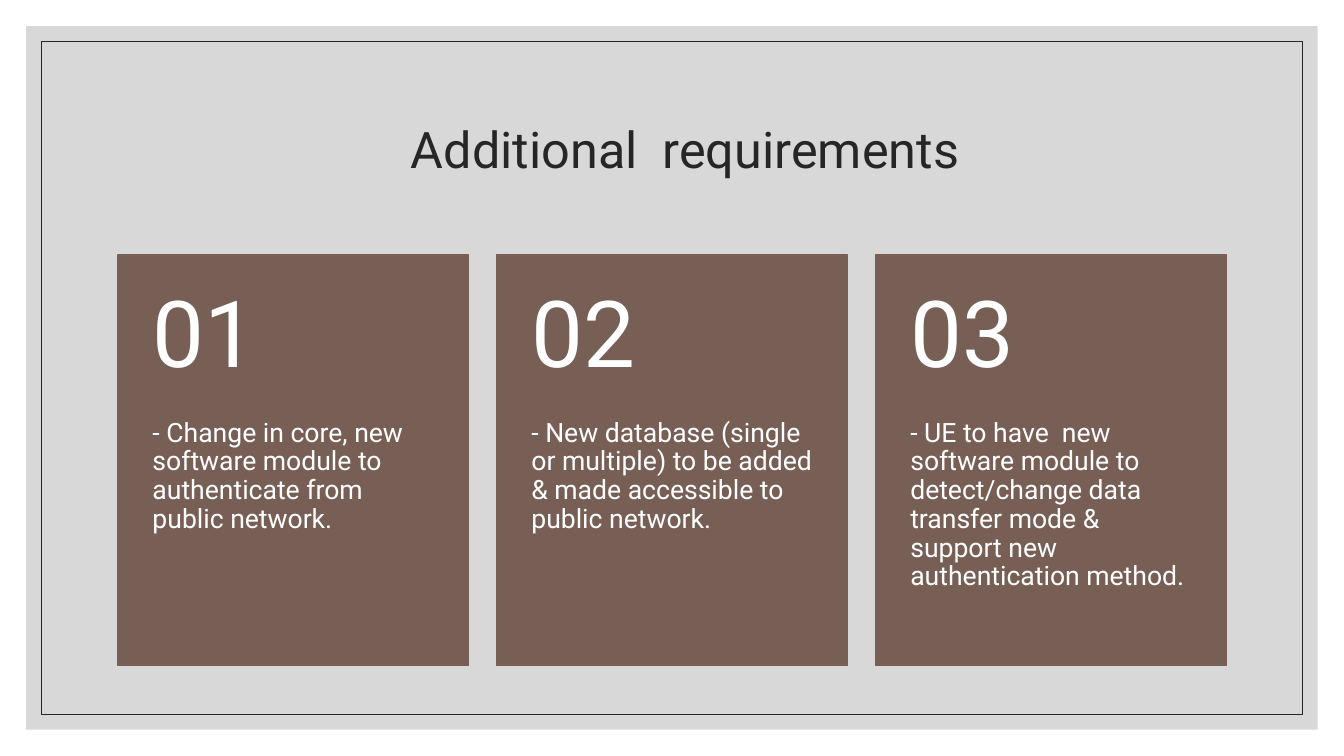
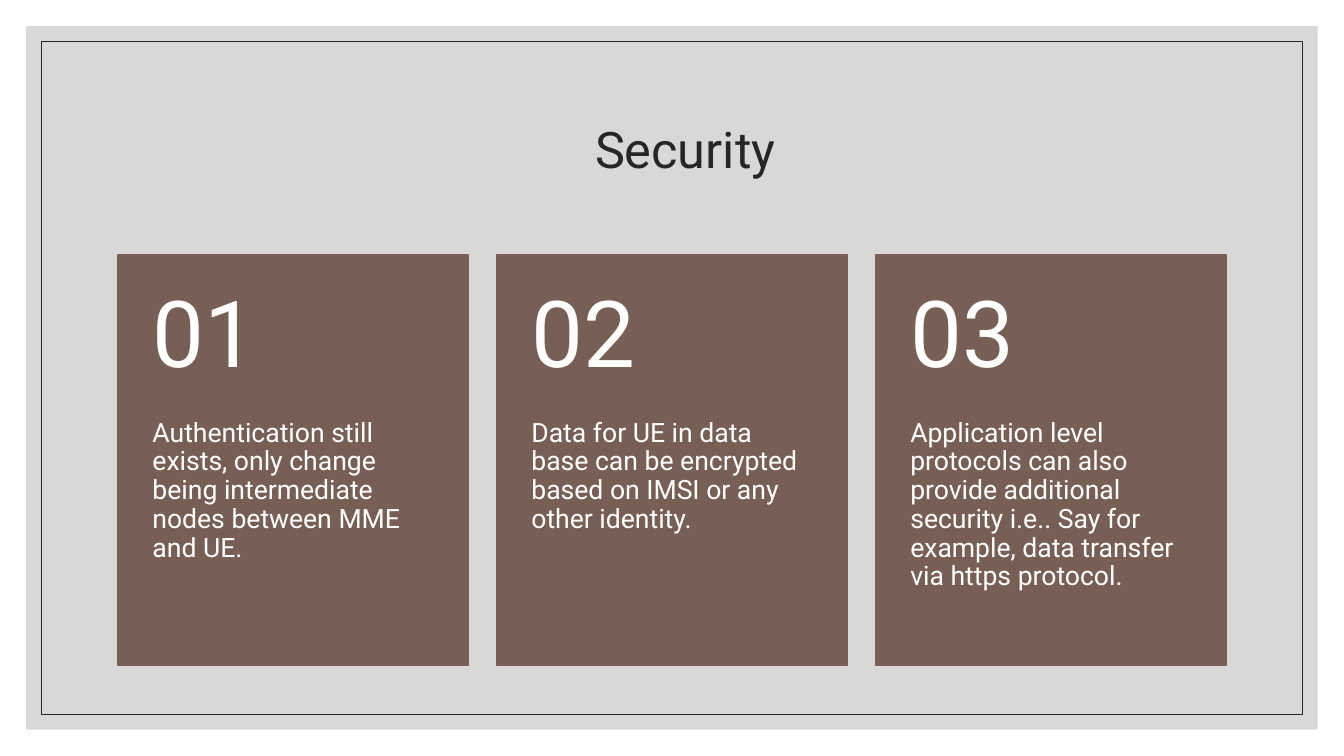
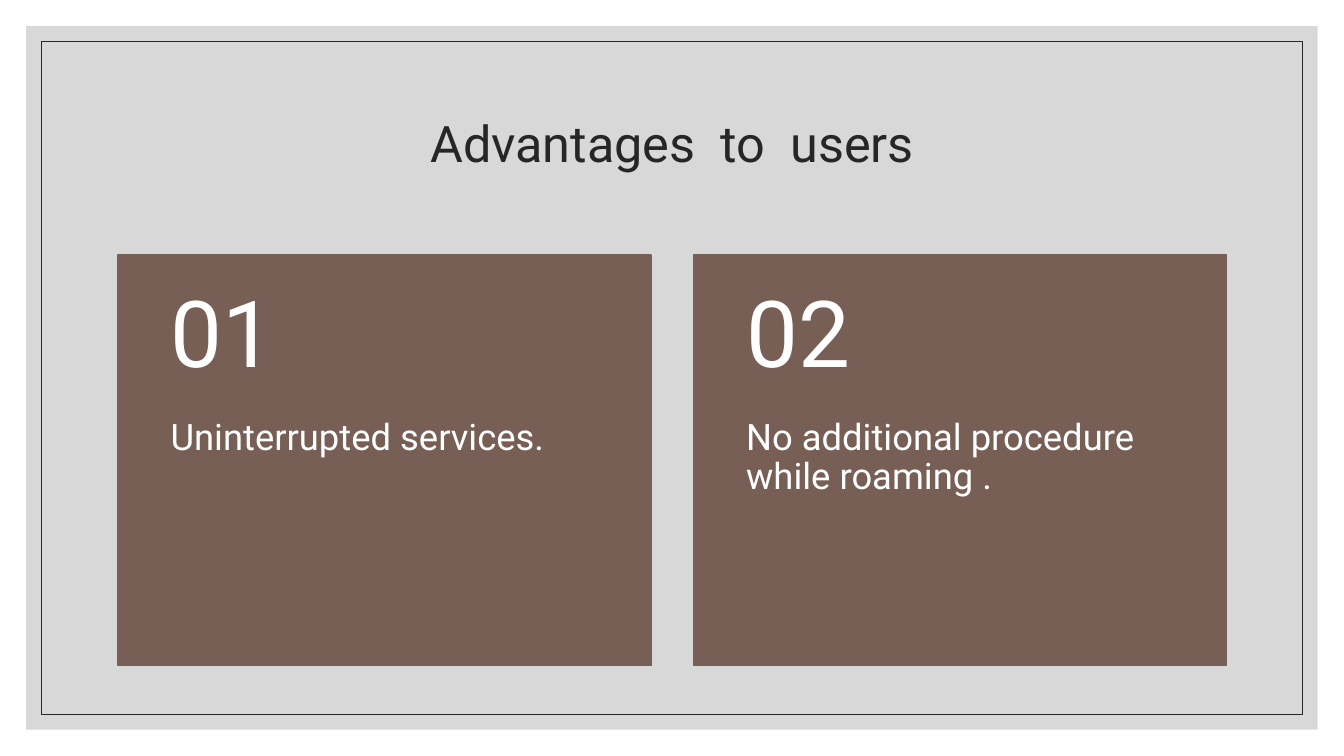
"""Build three slides of numbered cards on a framed grey panel."""
import pptx
import pptx.dml.color
import pptx.enum.shapes
import pptx.enum.text
import pptx.oxml
import pptx.oxml.ns
import pptx.util

Cm = pptx.util.Cm
Pt = pptx.util.Pt
RGBColor = pptx.dml.color.RGBColor
MSO_ANCHOR = pptx.enum.text.MSO_ANCHOR
PP_ALIGN = pptx.enum.text.PP_ALIGN

GREY = RGBColor(0xBF, 0xBF, 0xBF)
DARK = RGBColor(0x26, 0x26, 0x26)
BROWN = RGBColor(0x77, 0x5F, 0x55)
WHITE = RGBColor(0xFF, 0xFF, 0xFF)

WIDTH, HEIGHT = 33.87, 19.05
LEFT, TOP = 2.97, 6.43
CARDS_WIDTH, CARD_HEIGHT = 27.94, 10.34
NUMBER_HEIGHT = 0.4 * CARD_HEIGHT

SLIDES = [
    ("Additional  requirements", (3.3, 1.93), 19, [
        "- Change in core, new software module to authenticate from public network.",
        "- New database (single or multiple) to be added & made accessible to public network.",
        "- UE to have  new software module to detect/change data transfer mode & support new authentication method.",
    ]),
    ("Security", (3.3, 1.93), 19, [
        "Authentication still exists, only change being intermediate nodes between MME and UE.",
        "Data for UE in data base can be encrypted based on IMSI or any other identity.",
        "Application level protocols can also provide additional security i.e.. Say for example, data transfer via https protocol.",
    ]),
    ("Advantages  to  users", (2.97, 1.78), 26, [
        "Uninterrupted services.",
        "No additional procedure while roaming .",
    ]),
]


class Deck:
    font = "Roboto"

    def __init__(self):
        self.prs = pptx.Presentation()
        self.prs.slide_width = Cm(WIDTH)
        self.prs.slide_height = Cm(HEIGHT)
        self.s = None

    def new_slide(self):
        self.s = self.prs.slides.add_slide(self.prs.slide_layouts[6])
        panel = self.inset_rect(0.66, fill=GREY)
        color = panel.fill._xPr.find(".//" + pptx.oxml.ns.qn("a:srgbClr"))
        color.append(pptx.oxml.parse_xml(
            f'<a:alpha {pptx.oxml.ns.nsdecls("a")} val="60000"/>'))
        self.inset_rect(1.04, line=DARK, weight=0.5)

    def inset_rect(self, inset, **style):
        return self.rect(self.s.shapes, inset, inset,
                         WIDTH - 2 * inset, HEIGHT - 2 * inset, **style)

    def rect(self, shapes, x, y, w, h, fill=None, line=None, weight=1):
        sp = shapes.add_shape(pptx.enum.shapes.MSO_SHAPE.RECTANGLE,
                              Cm(x), Cm(y), Cm(w), Cm(h))
        sp.shadow.inherit = False
        if fill is None:
            sp.fill.background()
        else:
            sp.fill.solid()
            sp.fill.fore_color.rgb = fill
        if line is None:
            sp.line.fill.background()
        else:
            sp.line.color.rgb = line
            sp.line.width = Pt(weight)
        return sp

    def text(self, shapes, x, y, w, h, text, size, color=WHITE, anchor=MSO_ANCHOR.MIDDLE,
             align=PP_ALIGN.LEFT, insets=(0.25, 0.13, 0.13)):
        tf = shapes.add_textbox(Cm(x), Cm(y), Cm(w), Cm(h)).text_frame
        tf.word_wrap = True
        tf.vertical_anchor = anchor
        side, top, bottom = insets
        tf.margin_left = tf.margin_right = Cm(side)
        tf.margin_top, tf.margin_bottom = Cm(top), Cm(bottom)
        p = tf.paragraphs[0]
        p.text = text
        p.alignment = align
        p.line_spacing = 0.9
        p.font.name = self.font
        p.font.size = Pt(size)
        p.font.color.rgb = color

    def title(self, x, y, text):
        self.text(self.s.shapes, x, y, 27.94, 3.81, text, 36, DARK, align=PP_ALIGN.CENTER)

    def card(self, x, w, number, text, size):
        shapes = self.s.shapes.add_group_shape().shapes
        side = 0.0988 * w
        self.rect(shapes, x, TOP, w, CARD_HEIGHT, fill=BROWN, line=BROWN)
        self.text(shapes, x, TOP + NUMBER_HEIGHT, w, CARD_HEIGHT - NUMBER_HEIGHT, text, size,
                  anchor=MSO_ANCHOR.TOP, insets=(side, 0, 0.91))
        self.text(shapes, x, TOP, w, NUMBER_HEIGHT, f"{number:02}", 66,
                  insets=(side, 0.46, 0.46))

    def cards(self, texts, size):
        n = len(texts)
        w = CARDS_WIDTH / (n + 0.08 * (n - 1))
        for i, text in enumerate(texts):
            self.card(LEFT + i * 1.08 * w, w, i + 1, text, size)


def main():
    deck = Deck()
    for title, (x, y), size, texts in SLIDES:
        deck.new_slide()
        deck.title(x, y, title)
        deck.cards(texts, size)
    deck.prs.save("out.pptx")


if __name__ == "__main__":
    main()
